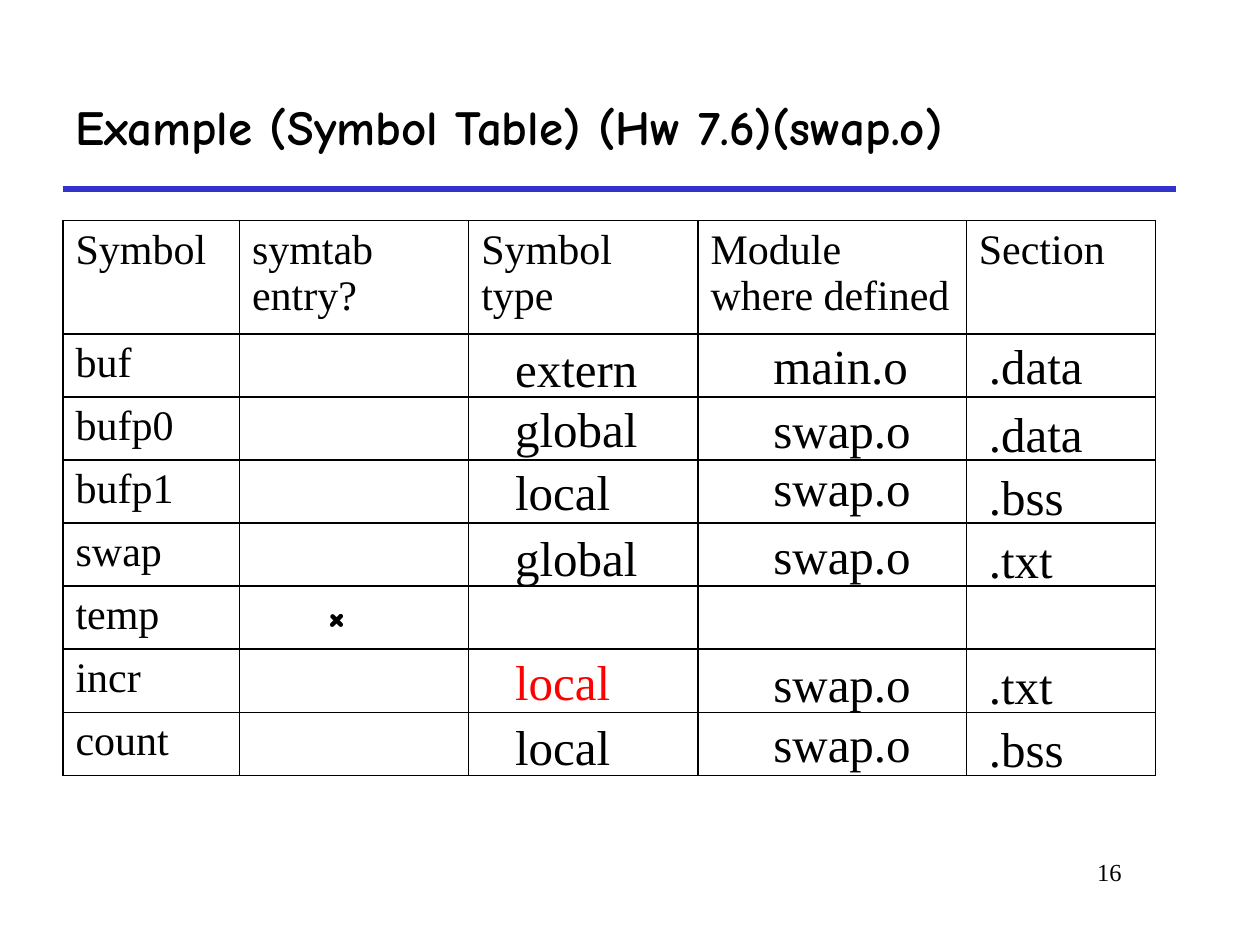
from lxml import etree
from pptx import Presentation
from pptx import util as u
from pptx.dml.color import RGBColor
from pptx.enum import shapes, text
from pptx.oxml.ns import qn

PX = 9144
BLACK = "000000"
SERIF = "Times New Roman"
COMIC = "Comic Neue"


def color(value):
    return RGBColor.from_string(value)


def write(frame, words, size, face=SERIF, ink=BLACK, bold=False):
    frame.text = words
    font = frame.paragraphs[0].runs[0].font
    for key, value in {"size": u.Pt(size), "name": face, "bold": bold}.items():
        setattr(font, key, value)
    font.color.rgb = color(ink)


deck = Presentation()
deck.slide_width, deck.slide_height = 1000 * PX, 750 * PX
slide = deck.slides.add_slide(deck.slide_layouts[5])

rule = slide.shapes.add_connector(
    shapes.MSO_CONNECTOR.STRAIGHT, 50 * PX, 150 * PX, 933 * PX, 150 * PX)
rule.line.color.rgb = color("3333CC")
rule.line.width = u.Pt(3)
etree.SubElement(rule._element.spPr, qn("a:effectLst"))

title = slide.shapes.title
for key, value in {"left": 50, "top": 50, "width": 883, "height": 100}.items():
    setattr(title, key, value * PX)
write(title.text_frame, "Example (Symbol Table) (Hw 7.6)(swap.o)", 28, COMIC, bold=True)
title.text_frame.vertical_anchor = text.MSO_ANCHOR.MIDDLE
title.text_frame.paragraphs[0].alignment = text.PP_ALIGN.LEFT

page_number = slide.shapes.add_textbox(758 * PX, 675 * PX, 142 * PX, 50 * PX)
page_number.text_frame.word_wrap = True
write(page_number.text_frame, "16", 14)
page_number.text_frame.paragraphs[0].alignment = text.PP_ALIGN.RIGHT

headings = ["Symbol", "symtab entry?", "Symbol type", "Module where defined", "Section"]
symbols = ["buf", "bufp0", "bufp1", "swap", "temp", "incr", "count"]
column_widths = [140, 182, 182, 213, 150]
row_heights = [90] + [50] * len(symbols)

symbol_table = slide.shapes.add_table(
    len(row_heights), len(column_widths), 50 * PX, 175 * PX,
    sum(column_widths) * PX, sum(row_heights) * PX).table
symbol_table.first_row = symbol_table.horz_banding = False
for column, width in zip(symbol_table.columns, column_widths):
    column.width = width * PX
for row, height in zip(symbol_table.rows, row_heights):
    row.height = height * PX

for cell in symbol_table.iter_cells():
    properties = cell._tc.get_or_add_tcPr()
    for side in ("a:lnL", "a:lnR", "a:lnT", "a:lnB"):
        border = etree.SubElement(properties, qn(side), w=str(u.Pt(1)))
        paint = etree.SubElement(border, qn("a:solidFill"))
        etree.SubElement(paint, qn("a:srgbClr"), val=BLACK)
    cell.fill.background()

for index, heading in enumerate(headings):
    write(symbol_table.cell(0, index).text_frame, heading, 24)
for index, symbol in enumerate(symbols, 1):
    write(symbol_table.cell(index, 0).text_frame, symbol, 24)

answer_columns = [
    (399, [("extern", 264, 118), ("global", 311, 118), ("local", 361, 96),
           ("global", 414, 118), ("local", 512, 96), ("local", 564, 96)]),
    (604, [("main.o", 261, 128), ("swap.o", 312, 130), ("swap.o", 358, 130),
           ("swap.o", 412, 130), ("swap.o", 514, 130), ("swap.o", 561, 130)]),
    (775, [(".data", 261, 95), (".data", 315, 95), (".bss", 365, 80),
           (".txt", 415, 71), (".txt", 515, 71), (".bss", 565, 80)]),
    (250, [("×", 458, 42)]),
]
for left, answers in answer_columns:
    for words, top, width in answers:
        answer = slide.shapes.add_textbox(left * PX, top * PX, width * PX, 57 * PX)
        answer.text_frame.word_wrap = False
        is_mark = words == "×"
        ink = "FF0000" if (words, top) == ("local", 512) else BLACK
        write(answer.text_frame, words, 28, COMIC if is_mark else SERIF, ink, is_mark)
        answer.text_frame.auto_size = text.MSO_AUTO_SIZE.SHAPE_TO_FIT_TEXT

deck.save("out.pptx")
